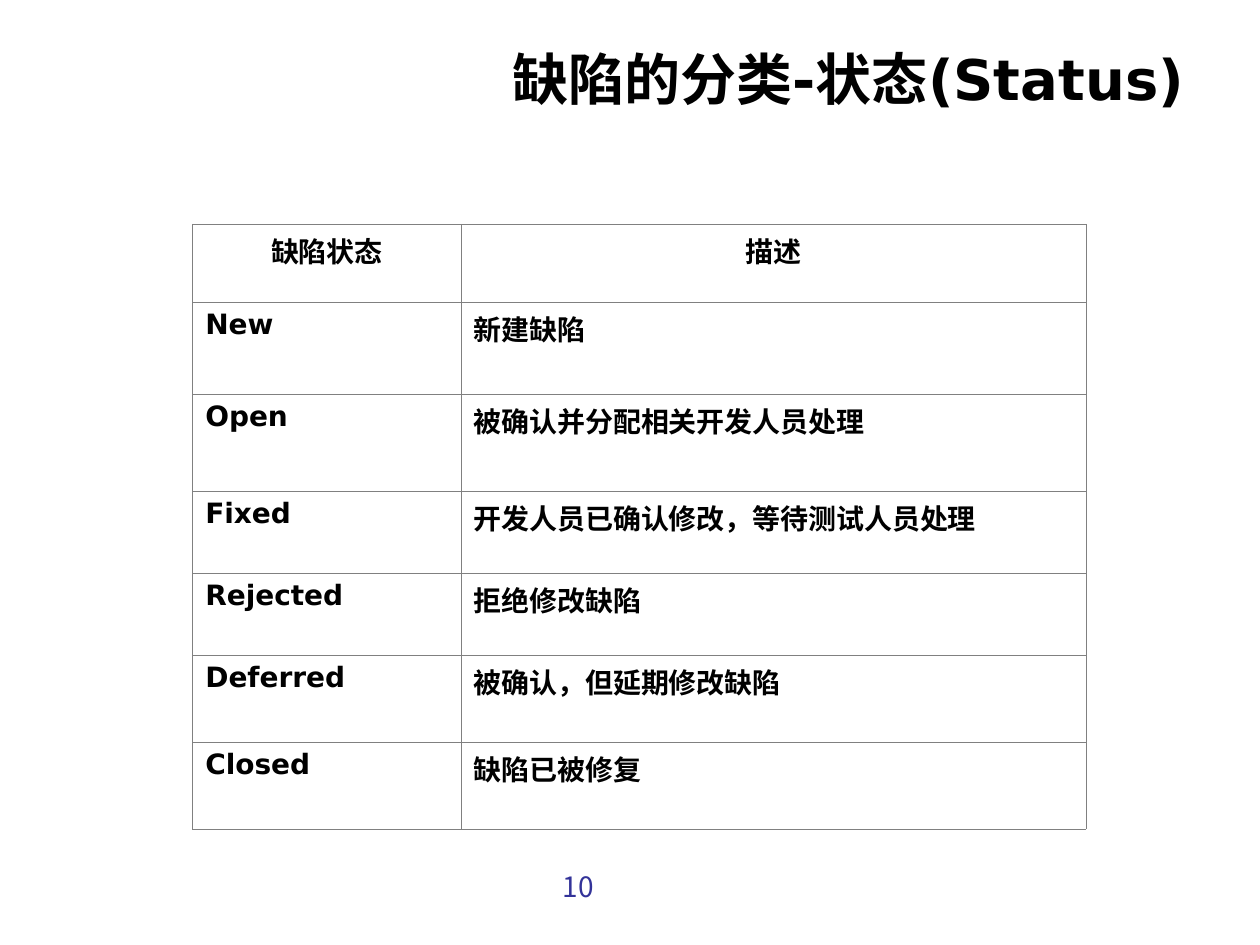
from lxml.etree import SubElement
from pptx import Presentation
from pptx.dml.color import RGBColor
from pptx.enum.text import MSO_ANCHOR, MSO_AUTO_SIZE, PP_ALIGN
from pptx.oxml.ns import qn
from pptx.util import Inches, Pt

LATIN, CJK = "DejaVu Sans", "Noto Sans CJK SC"
BLACK, GREY, BLUE = "000000", "808080", "333399"

STATES = [
    ("缺陷状态", "描述"),
    ("New", "新建缺陷"),
    ("Open", "被确认并分配相关开发人员处理"),
    ("Fixed", "开发人员已确认修改，等待测试人员处理"),
    ("Rejected", "拒绝修改缺陷"),
    ("Deferred", "被确认，但延期修改缺陷"),
    ("Closed", "缺陷已被修复"),
]
COL_WIDTHS = (21.3, 49.6)
ROW_HEIGHTS = (6.2, 7.3, 7.7, 6.5, 6.5, 6.9, 6.9)


def color(hex_text):
    return RGBColor.from_string(hex_text)


class SlideBuilder:
    """Draws on one slide over a grid of 100 columns by 75 rows."""

    def __init__(self, prs):
        self.unit = prs.slide_width / 100
        self.slide = prs.slides.add_slide(prs.slide_layouts[5])

    def grid(self, *lengths):
        return [round(n * self.unit) for n in lengths]

    def set_text(self, tf, text, size, font=LATIN, hue=BLACK, bold=True,
                 align=PP_ALIGN.LEFT, before=0):
        tf.text = text
        p = tf.paragraphs[0]
        p.alignment = align
        p.space_before = Pt(before)
        r = p.runs[0]
        r.font.size, r.font.bold, r.font.name = Pt(size), bold, font
        r.font.color.rgb = color(hue)
        SubElement(r.font._element, qn("a:ea")).set("typeface", CJK)

    def title(self, text, *box):
        sp = self.slide.shapes.title
        sp.left, sp.top, sp.width, sp.height = self.grid(*box)
        tf = sp.text_frame
        tf.auto_size = MSO_AUTO_SIZE.NONE
        tf.vertical_anchor = MSO_ANCHOR.TOP
        self.set_text(tf, text, 32, align=PP_ALIGN.RIGHT)

    def border(self, cell):
        for side in "LRTB":
            ln = SubElement(cell._tc.get_or_add_tcPr(), qn(f"a:ln{side}"),
                            w=str(Pt(0.45)))
            fill = SubElement(ln, qn("a:solidFill"))
            SubElement(fill, qn("a:srgbClr"), val=GREY)

    def table(self, rows, left, top, widths, heights):
        box = self.grid(left, top, sum(widths), sum(heights))
        table = self.slide.shapes.add_table(len(rows), len(widths), *box).table
        table.first_row = table.horz_banding = False
        for column, width in zip(table.columns, self.grid(*widths)):
            column.width = width
        for row, height in zip(table.rows, self.grid(*heights)):
            row.height = height
        for i, texts in enumerate(rows):
            align = PP_ALIGN.LEFT if i else PP_ALIGN.CENTER
            for j, text in enumerate(texts):
                cell = table.cell(i, j)
                self.border(cell)
                cell.fill.background()
                self.set_text(cell.text_frame, text, 16, align=align)

    def page_number(self, text, *box):
        tf = self.slide.shapes.add_textbox(*self.grid(*box)).text_frame
        tf.word_wrap = True
        self.set_text(tf, text, 16, font=CJK, hue=BLUE, bold=False)


def main():
    prs = Presentation()
    prs.slide_width, prs.slide_height = Inches(10), Inches(7.5)
    slide = SlideBuilder(prs)
    slide.title("缺陷的分类-状态(Status)", 5, 3, 90, 12.5)
    slide.table(STATES, 15.3, 17.8, COL_WIDTHS, ROW_HEIGHTS)
    slide.page_number("10", 43.7, 68.5, 11, 5.2)
    prs.save("out.pptx")


if __name__ == "__main__":
    main()
